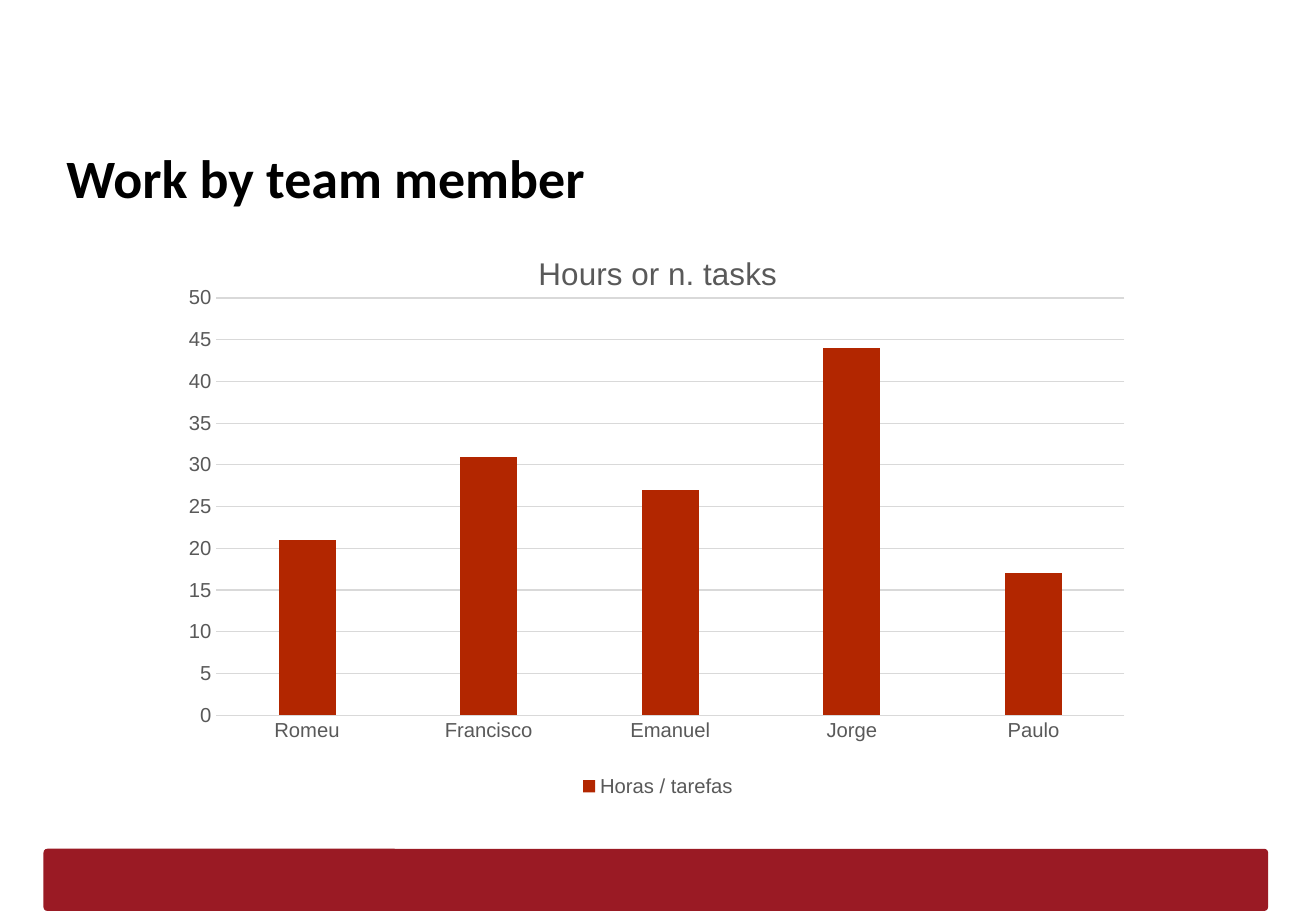
from lxml import etree
from pptx import Presentation
from pptx.chart.data import CategoryChartData
from pptx.dml.color import RGBColor
from pptx.enum.chart import XL_CHART_TYPE, XL_LEGEND_POSITION, XL_TICK_MARK
from pptx.enum.shapes import MSO_SHAPE
from pptx.enum.text import MSO_ANCHOR, MSO_AUTO_SIZE, PP_ALIGN
from pptx.oxml.ns import qn
from pptx.util import Cm, Pt

COLUMNS = XL_CHART_TYPE.COLUMN_CLUSTERED
BOTTOM = XL_LEGEND_POSITION.BOTTOM
NO_TICK = XL_TICK_MARK.NONE
ROUNDED = MSO_SHAPE.ROUNDED_RECTANGLE
TOP = MSO_ANCHOR.TOP
NO_FIT = MSO_AUTO_SIZE.NONE
LEFT = PP_ALIGN.LEFT

COLORS = {
    "heading": "000000",
    "label": "595959",
    "grid": "D9D9D9",
    "column": "B22600",
    "footer": "9A1A24",
}
HOURS = {"Romeu": 21, "Francisco": 31, "Emanuel": 27, "Jorge": 44, "Paulo": 17}
PLOT_AREA = {"x": 0.055, "y": 0.121, "w": 0.915, "h": 0.728}


def color(name):
    return RGBColor.from_string(COLORS[name])


def format_font(font, size, shade="label", family="Arial", bold=False):
    font.size = Pt(size)
    font.name = family
    font.bold = bold
    font.color.rgb = color(shade)


def write_text(frame, text, align=None, **style):
    frame.text = text
    paragraph = frame.paragraphs[0]
    paragraph.alignment = align
    format_font(paragraph.runs[0].font, **style)


def draw_line(line, shade, width=0.75):
    line.color.rgb = color(shade)
    line.width = Pt(width)


def place_plot(chart):
    plot_area = chart.plots[0]._element.getparent()
    for old_layout in plot_area.findall(qn("c:layout")):
        plot_area.remove(old_layout)
    layout = etree.Element(qn("c:layout"))
    plot_area.insert(0, layout)
    manual = etree.SubElement(layout, qn("c:manualLayout"))
    settings = {"layoutTarget": "inner", "xMode": "edge", "yMode": "edge", **PLOT_AREA}
    for tag, value in settings.items():
        etree.SubElement(manual, qn(f"c:{tag}"), val=str(value))


class TeamSlide:
    def __init__(self, deck):
        self.slide = deck.slides.add_slide(deck.slide_layouts[5])
        self.shapes = self.slide.shapes

    def footer(self, left, top, width, height):
        band = self.shapes.add_shape(ROUNDED, left, top, width, height)
        band.adjustments[0] = 0.062
        band.shadow.inherit = False
        band.fill.solid()
        band.fill.fore_color.rgb = color("footer")
        band.line.fill.background()

    def title(self, text, left, top, width, height):
        heading = self.shapes.title
        heading.left, heading.top = left, top
        heading.width, heading.height = width, height
        frame = heading.text_frame
        frame.word_wrap = True
        frame.auto_size = NO_FIT
        frame.vertical_anchor = TOP
        frame.margin_left = frame.margin_right = Cm(0.25)
        frame.margin_top = frame.margin_bottom = Cm(0.25)
        write_text(frame, text, LEFT, size=32, shade="heading", family="Calibri", bold=True)

    def column_chart(self, title, series_name, values, left, top, width, height):
        workload = CategoryChartData()
        workload.categories = list(values)
        workload.add_series(series_name, list(values.values()))
        chart = self.shapes.add_chart(COLUMNS, left, top, width, height, workload).chart
        format_font(chart.font, 12)

        chart.has_title = True
        write_text(chart.chart_title.text_frame, title, size=18.6)
        chart.chart_title.include_in_layout = False

        chart.has_legend = True
        chart.legend.position = BOTTOM
        chart.legend.include_in_layout = False
        format_font(chart.legend.font, 12)

        columns = chart.plots[0]
        columns.gap_width = 219
        columns.overlap = -27
        columns.vary_by_categories = False
        column_fill = columns.series[0].format.fill
        column_fill.solid()
        column_fill.fore_color.rgb = color("column")

        for axis in (chart.category_axis, chart.value_axis):
            axis.major_tick_mark = axis.minor_tick_mark = NO_TICK
            format_font(axis.tick_labels.font, 12)
        draw_line(chart.category_axis.format.line, "grid")
        hours_axis = chart.value_axis
        hours_axis.minimum_scale, hours_axis.maximum_scale = 0, 50
        hours_axis.major_unit = 5
        hours_axis.format.line.fill.background()
        draw_line(hours_axis.major_gridlines.format.line, "grid")
        place_plot(chart)


def main():
    deck = Presentation()
    deck.slide_width, deck.slide_height = Cm(27.51), Cm(19.05)
    team = TeamSlide(deck)
    team.footer(Cm(0.91), Cm(17.75), Cm(25.6), Cm(1.3))
    team.title("Work by team member", Cm(1.14), Cm(2.77), Cm(25.12), Cm(1.6))
    team.column_chart("Hours or n. tasks", "Horas / tarefas", HOURS,
                      Cm(3.38), Cm(4.78), Cm(20.75), Cm(11.99))
    deck.save("out.pptx")


if __name__ == "__main__":
    main()
